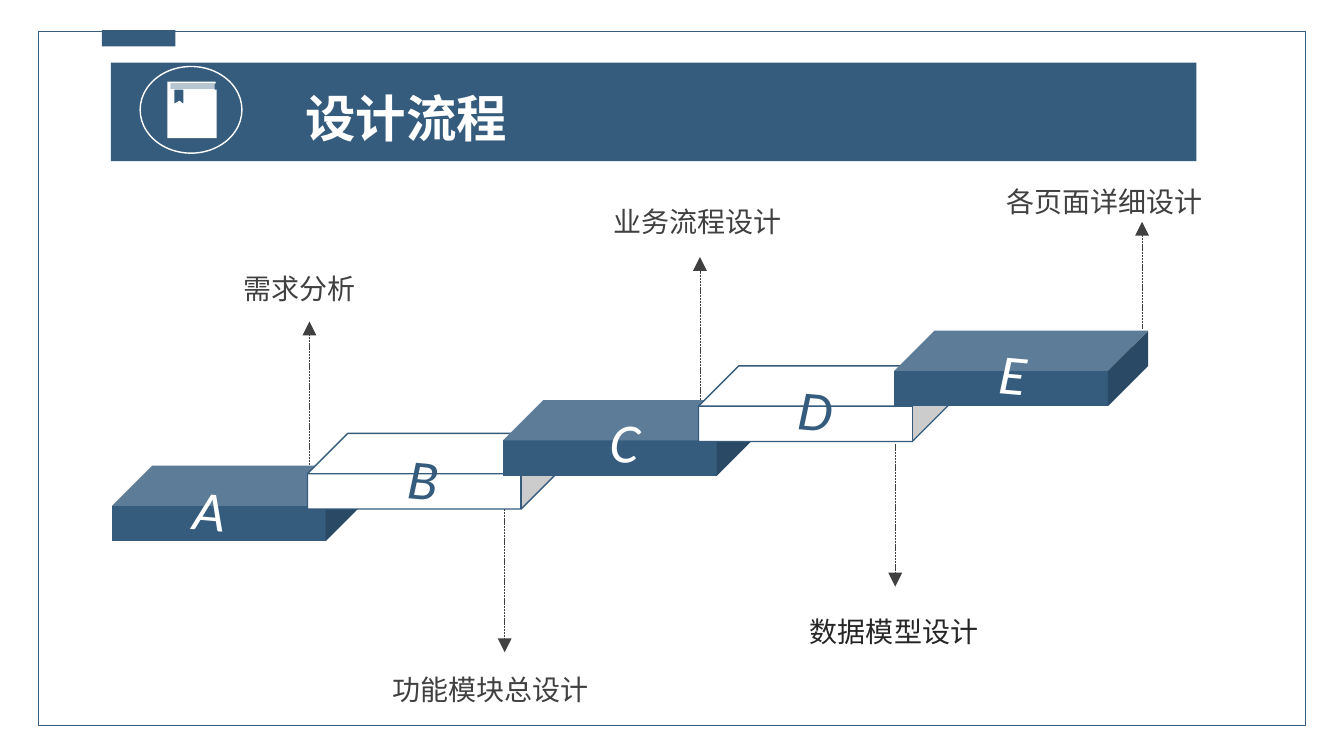
import pptx
import pptx.util
import pptx.dml.color
import pptx.enum.dml
import pptx.enum.shapes
import pptx.enum.text
import pptx.oxml.ns
from lxml import etree

COLORS = {"navy": "355C7D", "white": "FFFFFF", "grey": "404040", "ink": "262626"}
FONT = "Calibri"
CELL = pptx.util.Inches(0.1)
COLUMNS, ROWS = 133.33, 75
SHAPES = pptx.enum.shapes.MSO_SHAPE
ALIGN = pptx.enum.text.PP_ALIGN

FIRST_STEP_COLUMN, STEP_SPACING = 11.1, 19.4
FIRST_ARROW_COLUMN, ARROW_SPACING = 30.7, 19.37
STEPS = [
    {"letter": "A", "row": 46.2, "letter_at": (20.8, 50.5), "label": "需求分析",
     "label_at": (29.7, 28.6), "arrow_rows": (46.1, 31.9)},
    {"letter": "B", "row": 43, "letter_at": (42, 47.4), "label": "功能模块总设计",
     "label_at": (48.7, 68.4), "arrow_rows": (50.5, 64.7)},
    {"letter": "C", "row": 39.7, "letter_at": (62, 43.7), "label": "业务流程设计",
     "label_at": (69.2, 22), "arrow_rows": (39.7, 25.5)},
    {"letter": "D", "row": 36.3, "letter_at": (80.9, 40.5), "label": "数据模型设计",
     "label_at": (88.7, 62.6), "arrow_rows": (44, 58.2), "label_color": "ink"},
    {"letter": "E", "row": 32.8, "letter_at": (100.5, 36.9), "label": "各页面详细设计",
     "label_at": (109.6, 20), "arrow_rows": (32.6, 22), "arrow_column": 113.3},
]


def grid(*cells):
    return [round(cell * CELL) for cell in cells]


def rgb(name):
    return pptx.dml.color.RGBColor.from_string(COLORS[name])


def paint(shape, fill=None, line=None):
    shape.shadow.inherit = False
    if fill:
        shape.fill.solid()
        shape.fill.fore_color.rgb = rgb(fill)
    else:
        shape.fill.background()
    if line:
        shape.line.color.rgb = rgb(line)
        shape.line.width = pptx.util.Pt(1)
    else:
        shape.line.fill.background()
    return shape


def add_block(slide, preset, area, fill=None, line=None):
    return paint(slide.shapes.add_shape(preset, *grid(*area)), fill, line)


def write(holder, text, size=20, color="grey", bold=False, italic=False, align=ALIGN.CENTER):
    frame = holder.text_frame
    frame.word_wrap = True
    frame.auto_size = pptx.enum.text.MSO_AUTO_SIZE.NONE
    frame.vertical_anchor = pptx.enum.text.MSO_ANCHOR.MIDDLE
    frame.margin_left = frame.margin_right = frame.margin_top = frame.margin_bottom = 0
    paragraph = frame.paragraphs[0]
    paragraph.text = text
    paragraph.alignment = align
    font = paragraph.font
    font.name, font.size = FONT, pptx.util.Pt(size)
    font.bold, font.italic = bold, italic
    font.color.rgb = rgb(color)


def add_caption(slide, text, center, width, height, rotation=0, **style):
    column, row = center
    caption = slide.shapes.add_textbox(
        *grid(column - width / 2, row - height / 2, width, height))
    caption.rotation = rotation
    write(caption, text, **style)


def add_arrow(slide, column, start_row, end_row):
    arrow = slide.shapes.add_connector(
        pptx.enum.shapes.MSO_CONNECTOR.STRAIGHT, *grid(column, start_row, column, end_row))
    arrow.line.color.rgb = rgb("grey")
    arrow.line.width = pptx.util.Pt(0.5)
    arrow.line.dash_style = pptx.enum.dml.MSO_LINE.SQUARE_DOT
    qn = pptx.oxml.ns.qn
    outline = arrow.line._get_or_add_ln()
    etree.SubElement(outline, qn("a:tailEnd"), type="triangle", w="lg", len="lg")
    etree.SubElement(arrow.element.spPr, qn("a:effectLst"))


def add_book(slide):
    bookmark = [(18.2, 8.9), (18.2, 10.3), (17.8, 10), (17.3, 10.3), (17.3, 8.9)]
    pages = []
    for page in range(6):
        row = 8.9 - page / 10
        pages += [(16.9, row), (21.3, row), (21.3, row - 0.05), (16.9, row - 0.05)]
    cover = [(16.9, 8.3), (21.4, 8.3), (21.4, 8.1), (16.6, 8.1),
             (16.6, 13.7), (21.5, 13.7), (21.5, 8.9)]
    outline = [grid(*point) for point in bookmark + pages + cover]
    builder = slide.shapes.build_freeform(*outline[0])
    builder.add_line_segments(outline[1:], close=True)
    paint(builder.convert_to_shape(), fill="white")


def add_header(slide):
    band = add_block(slide, SHAPES.RECTANGLE, (11, 6.2, 107.7, 9.8), fill="navy")
    title = slide.shapes.title
    title.left, title.top, title.width, title.height = grid(30.3, 7, 70, 9.2)
    write(title, "设计流程", size=36, color="white", bold=True, align=ALIGN.LEFT)
    band.element.addnext(title.element)
    add_book(slide)
    add_block(slide, SHAPES.OVAL, (13.9, 6.6, 10.1, 8.6), line="white")


def add_step(slide, index, step):
    dark = index % 2 == 0
    column = FIRST_STEP_COLUMN + index * STEP_SPACING
    cube = add_block(slide, SHAPES.CUBE, (column, step["row"], 25.2, 7.5),
                     fill="navy" if dark else "white", line=None if dark else "navy")
    cube.adjustments[0] = 0.533
    add_caption(slide, step["letter"], step["letter_at"], 6, 7, rotation=5,
                size=40, italic=True, color="white" if dark else "navy")


def add_step_label(slide, index, step):
    column = step.get("arrow_column", FIRST_ARROW_COLUMN + index * ARROW_SPACING)
    add_arrow(slide, column, *step["arrow_rows"])
    add_caption(slide, step["label"], step["label_at"], 24, 4,
                color=step.get("label_color", "grey"))


def main():
    deck = pptx.Presentation()
    deck.slide_width, deck.slide_height = grid(COLUMNS, ROWS)
    slide = deck.slides.add_slide(deck.slide_layouts[5])
    add_block(slide, SHAPES.RECTANGLE, (3.8, 3.1, 125.7, 68.9), line="navy")
    add_block(slide, SHAPES.RECTANGLE, (10.1, 3, 7.3, 1.6), fill="navy")
    for index, step in enumerate(STEPS):
        add_step(slide, index, step)
    for index, step in enumerate(STEPS):
        add_step_label(slide, index, step)
    add_header(slide)
    deck.save("out.pptx")


if __name__ == "__main__":
    main()
